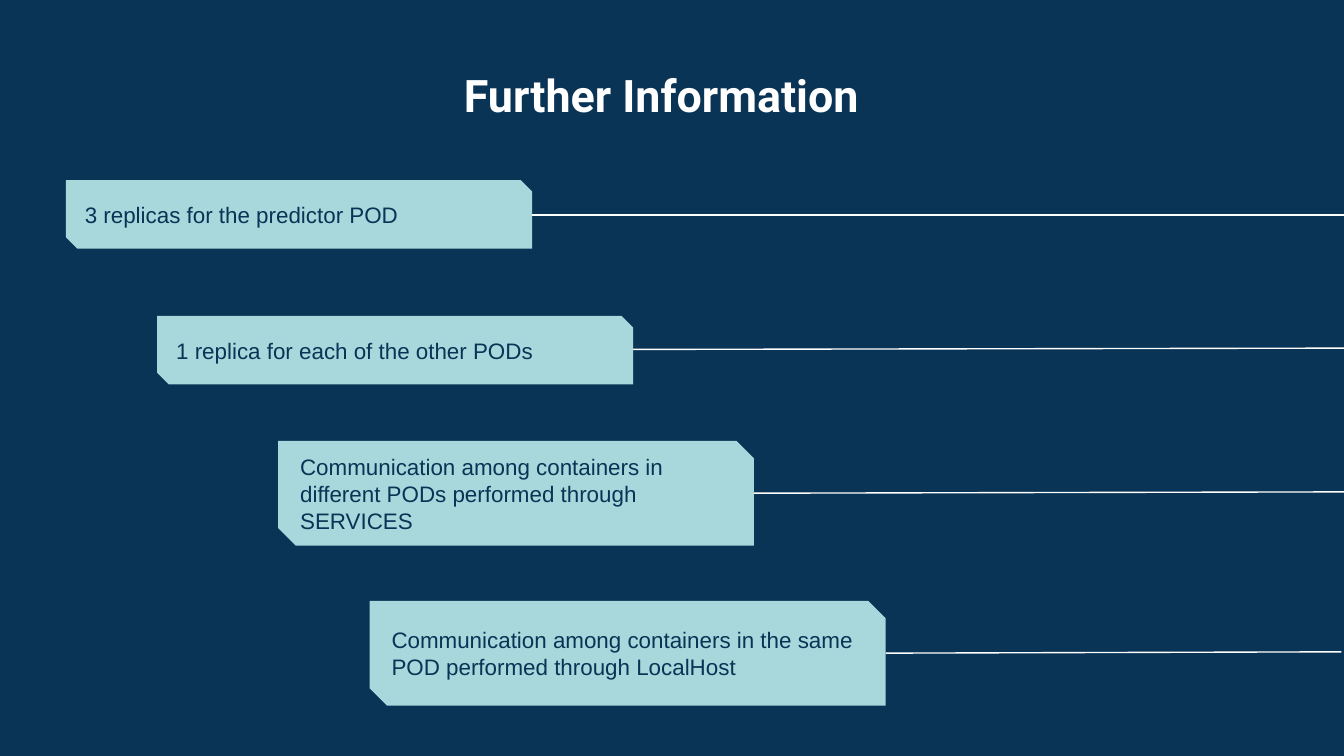
import dataclasses

import pptx
import pptx.dml.color
import pptx.enum.shapes
import pptx.enum.text
import pptx.oxml.ns
import pptx.slide
import pptx.text.text
import pptx.util
from pptx.util import Inches

COLORS = {"background": "0A3455", "box": "A8D7DC", "line": "FFFFFF",
          "title": "FFFFFF", "text": "0A3455"}
TITLE_FORMAT = {"name": "Roboto", "size": pptx.util.Pt(24), "bold": True}
BOX_FORMAT = {"name": "Arial", "size": pptx.util.Pt(12), "bold": False}
FRAME_FORMAT = {
    "word_wrap": True,
    "auto_size": pptx.enum.text.MSO_AUTO_SIZE.NONE,
    "vertical_anchor": pptx.enum.text.MSO_ANCHOR.MIDDLE,
    **{f"margin_{side}": Inches(0.1) for side in ("left", "top", "right", "bottom")},
}


@dataclasses.dataclass(frozen=True)
class Step:
    """A text box and the line that runs from it to the right, in inches."""
    text: str
    left: float
    top: float
    width: float
    height: float
    line_start_y: float
    line_end: tuple[float, float]


STEPS = [
    Step("3 replicas for the predictor POD",
         0.49, 1.34, 3.47, 0.51, 1.6, (10.23, 1.6)),
    Step("1 replica for each of the other PODs",
         1.17, 2.35, 3.54, 0.51, 2.6, (10.26, 2.59)),
    Step("Communication among containers in different PODs performed through SERVICES",
         2.07, 3.28, 3.54, 0.78, 3.67, (10.01, 3.66)),
    Step("Communication among containers in the same POD performed through LocalHost",
         2.75, 4.47, 3.84, 0.78, 4.86, (9.98, 4.85)),
]


def color(name: str) -> pptx.dml.color.RGBColor:
    return pptx.dml.color.RGBColor.from_string(COLORS[name])


def write_text(frame: pptx.text.text.TextFrame, text: str, font_format: dict,
               color_name: str, alignment: pptx.enum.text.PP_ALIGN) -> None:
    for name, value in FRAME_FORMAT.items():
        setattr(frame, name, value)
    paragraph = frame.paragraphs[0]
    paragraph.alignment = alignment
    run = paragraph.add_run()
    run.text = text
    for name, value in font_format.items():
        setattr(run.font, name, value)
    run.font.color.rgb = color(color_name)


def add_title(slide: pptx.slide.Slide, text: str) -> None:
    title = slide.shapes.title
    title.left, title.top = Inches(2.07), Inches(0.39)
    title.width, title.height = Inches(5.7), Inches(0.68)
    write_text(title.text_frame, text, TITLE_FORMAT, "title",
               pptx.enum.text.PP_ALIGN.CENTER)
    # Lift the title slightly above the middle
    title.text_frame.margin_bottom = Inches(0.15)


def add_line(slide: pptx.slide.Slide, step: Step) -> None:
    end_x, end_y = step.line_end
    connector = slide.shapes.add_connector(
        pptx.enum.shapes.MSO_CONNECTOR.STRAIGHT,
        Inches(end_x), Inches(end_y),
        Inches(step.left + step.width), Inches(step.line_start_y))
    connector.line.color.rgb = color("line")
    connector.line.width = pptx.util.Pt(0.75)
    properties = connector._element.spPr
    properties.append(properties.makeelement(pptx.oxml.ns.qn("a:effectLst"), {}))


def add_box(slide: pptx.slide.Slide, step: Step) -> None:
    box = slide.shapes.add_shape(
        pptx.enum.shapes.MSO_SHAPE.SNIP_2_DIAG_RECTANGLE,
        *(Inches(value) for value in (step.left, step.top, step.width, step.height)))
    box.adjustments[0], box.adjustments[1] = 0, 0.167
    box.shadow.inherit = False
    box.fill.solid()
    box.fill.fore_color.rgb = color("box")
    box.line.fill.background()
    write_text(box.text_frame, step.text, BOX_FORMAT, "text",
               pptx.enum.text.PP_ALIGN.LEFT)


def main() -> None:
    # Widescreen slide, 16 to 9
    presentation = pptx.Presentation()
    presentation.slide_width = Inches(10)
    presentation.slide_height = Inches(10 * 9 / 16)

    # Title slide layout without its subtitle
    slide = presentation.slides.add_slide(presentation.slide_layouts[0])
    subtitle = slide.placeholders[1]._element
    subtitle.getparent().remove(subtitle)
    slide.background.fill.solid()
    slide.background.fill.fore_color.rgb = color("background")
    add_title(slide, "Further Information")

    # Staircase of boxes, each with its line
    for step in STEPS:
        add_line(slide, step)
        add_box(slide, step)

    presentation.save("out.pptx")


if __name__ == "__main__":
    main()
